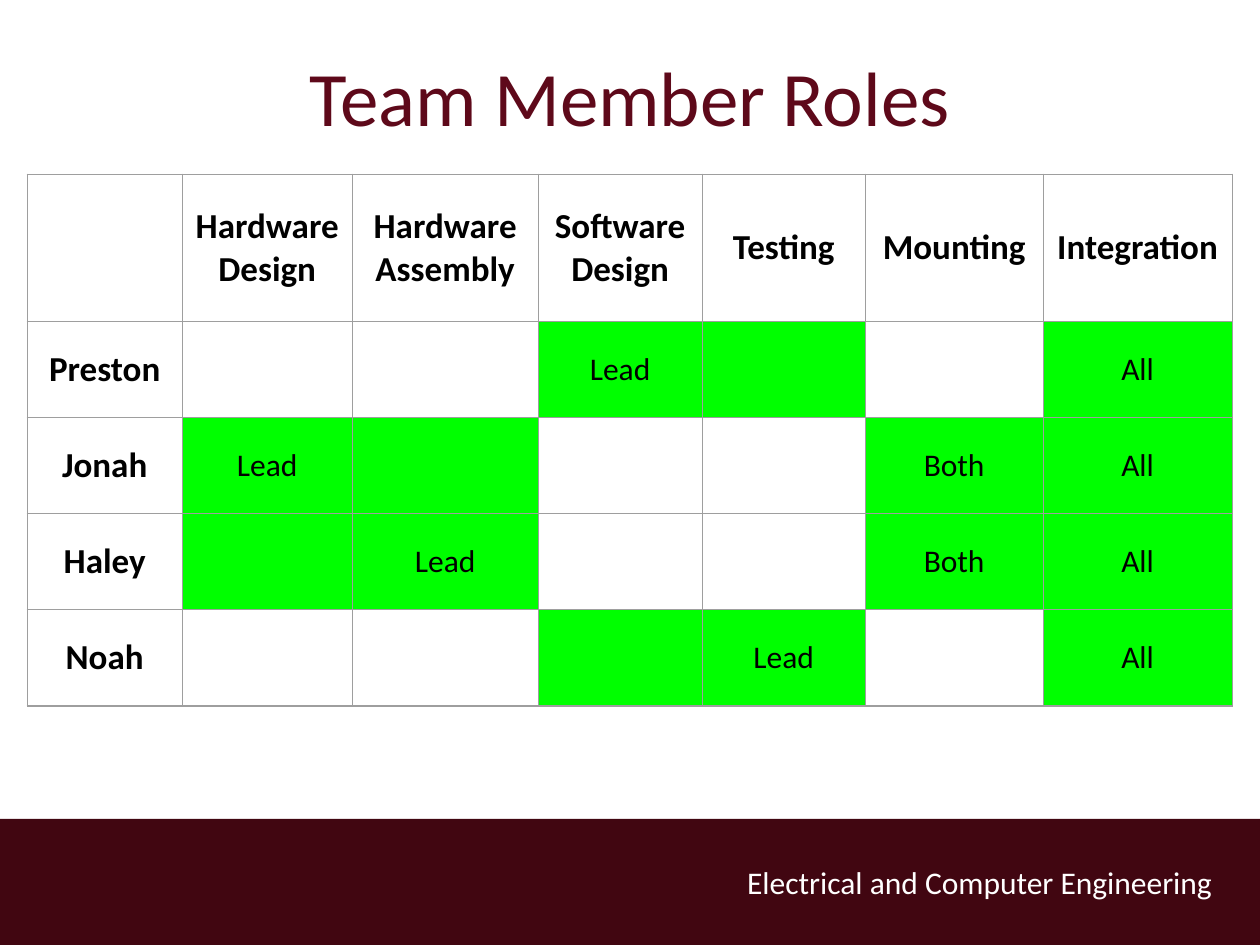
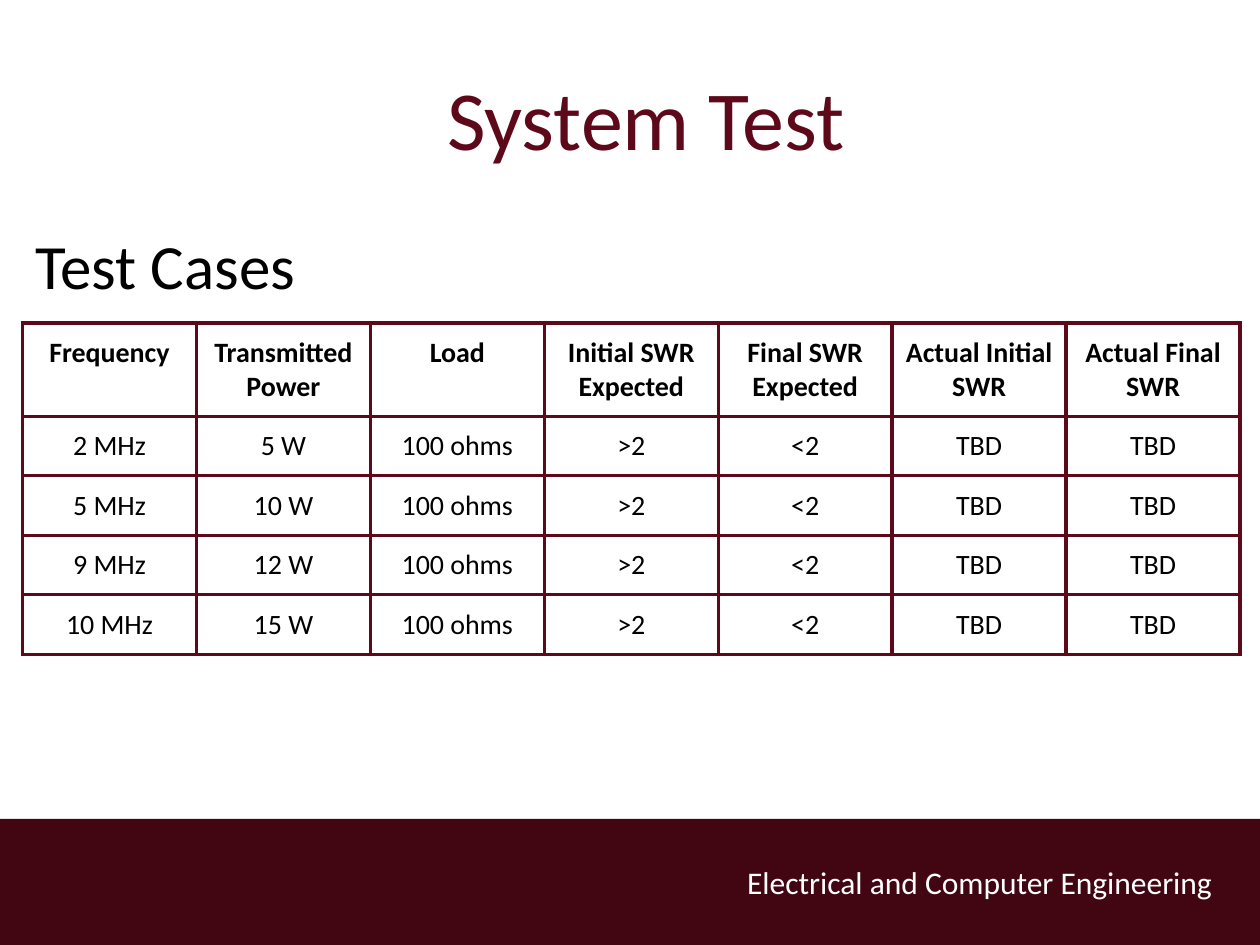
from lxml import etree
from pptx import Presentation
from pptx.dml.color import RGBColor
from pptx.enum import shapes, text
from pptx.oxml import ns
from pptx.util import Pt

FONT = "Calibri"
MAROON, BAND = "5E091A", "410611"
BLACK, WHITE, GREEN, GREY = "000000", "FFFFFF", "00FF00", "9E9E9E"
WIDTH, HEIGHT = 720, 540
BAND_TOP, BAND_HEIGHT = 468, 72
DEPARTMENT = "Electrical and Computer Engineering"
MIDDLE, TOP = text.MSO_ANCHOR.MIDDLE, text.MSO_ANCHOR.TOP
CENTER, LEFT = text.PP_ALIGN.CENTER, text.PP_ALIGN.LEFT


def rgb(color):
    return RGBColor.from_string(color)


class Deck:
    def __init__(self):
        self.prs = Presentation()
        self.prs.slide_width, self.prs.slide_height = Pt(WIDTH), Pt(HEIGHT)
        self.s = None

    def add_lines(self, tf, content, size, color=BLACK, bold=False, align=LEFT):
        """Put each line of content in its own paragraph."""
        for i, line in enumerate(content.split("\n")):
            p = tf.add_paragraph() if i else tf.paragraphs[0]
            p.alignment = align
            p.space_before = Pt(0)
            r = p.add_run()
            r.text = line
            r.font.name, r.font.size, r.font.bold = FONT, Pt(size), bold
            r.font.color.rgb = rgb(color)

    def slide(self, title, left, top, size):
        """Start a slide with its title and the department band."""
        self.s = self.prs.slides.add_slide(self.prs.slide_layouts[5])
        self.band()
        sp = self.s.shapes.title
        sp.left, sp.top, sp.width, sp.height = Pt(left), Pt(top), Pt(630), Pt(90)
        tf = sp.text_frame
        tf.auto_size = text.MSO_AUTO_SIZE.NONE
        tf.vertical_anchor = MIDDLE
        self.add_lines(tf, title, size, MAROON, align=CENTER)

    def band(self):
        sp = self.s.shapes.add_shape(shapes.MSO_SHAPE.RECTANGLE, Pt(0), Pt(BAND_TOP),
                                     Pt(WIDTH), Pt(BAND_HEIGHT))
        sp.shadow.inherit = False
        sp.fill.solid()
        sp.fill.fore_color.rgb = rgb(BAND)
        sp.line.fill.background()
        self.text_box(DEPARTMENT, 419.8, 489.6, 326, 29, 18, WHITE)

    def text_box(self, content, left, top, width, height, size, color=BLACK):
        sp = self.s.shapes.add_textbox(Pt(left), Pt(top), Pt(width), Pt(height))
        sp.text_frame.word_wrap = True
        self.add_lines(sp.text_frame, content, size, color)

    def border(self, cell, color, width):
        tc_pr = cell._tc.get_or_add_tcPr()
        for side in ("a:lnL", "a:lnR", "a:lnT", "a:lnB"):
            ln = etree.SubElement(tc_pr, ns.qn(side), w=str(Pt(width)))
            fill = etree.SubElement(ln, ns.qn("a:solidFill"))
            etree.SubElement(fill, ns.qn("a:srgbClr"), val=color)

    def table(self, rows, left, top, widths, heights, line, size, head_size,
              anchor=TOP, head_column=False, marked=None):
        """Draw a grid; None is a blank cell, and other body cells take the marked fill."""
        frame = self.s.shapes.add_table(len(rows), len(widths), Pt(left), Pt(top),
                                        Pt(sum(widths)), Pt(sum(heights)))
        table = frame.table
        table.first_row = table.horz_banding = False
        for column, width in zip(table.columns, widths):
            column.width = Pt(width)
        for row, height in zip(table.rows, heights):
            row.height = Pt(height)
        for i, row in enumerate(rows):
            for j, content in enumerate(row):
                cell = table.cell(i, j)
                head = i == 0 or (head_column and j == 0)
                cell.margin_left = cell.margin_right = Pt(7.2)
                cell.margin_top = cell.margin_bottom = Pt(7.2)
                cell.vertical_anchor = anchor
                self.border(cell, *line)
                if marked and not head and content is not None:
                    cell.fill.solid()
                    cell.fill.fore_color.rgb = rgb(marked)
                else:
                    cell.fill.background()
                if content:
                    self.add_lines(cell.text_frame, content, head_size if head else size,
                                   bold=head, align=CENTER)


def roles(deck):
    deck.slide("Team Member Roles", 45, 9.4, 44)
    # An empty string marks a shared role that has no label.
    rows = [
        [None, "Hardware\nDesign", "Hardware Assembly", "Software\nDesign",
         "Testing", "Mounting", "Integration"],
        ["Preston", None, None, "Lead", "", None, "All"],
        ["Jonah", "Lead", "", None, None, "Both", "All"],
        ["Haley", "", "Lead", None, None, "Both", "All"],
        ["Noah", None, None, "", "Lead", None, "All"],
    ]
    deck.table(rows, 15.6, 99.5, [88.5, 97.2, 106.2, 93.8, 93.2, 101.6, 108],
               [84] + [55] * 4, (GREY, 0.75), 18, 20, MIDDLE,
               head_column=True, marked=GREEN)


def system_test(deck):
    deck.slide("System Test", 54, 21.6, 48)
    deck.text_box("Test Cases", 13, 126, 630, 52, 36)
    cases = [("2 MHz", "5 W"), ("5 MHz", "10 W"), ("9 MHz", "12 W"), ("10 MHz", "15 W")]
    header = ["Frequency", "Transmitted Power", "Load", "Initial SWR Expected",
              "Final SWR Expected", "Actual Initial SWR", "Actual Final SWR"]
    rows = [header] + [[*case, "100 ohms", ">2", "<2", "TBD", "TBD"] for case in cases]
    deck.table(rows, 12.9, 184.5, [99.4] * len(header), [53.4] + [34] * len(cases),
               (MAROON, 2.25), 16, 16)


def main():
    deck = Deck()
    roles(deck)
    system_test(deck)
    deck.prs.save("out.pptx")


if __name__ == "__main__":
    main()
